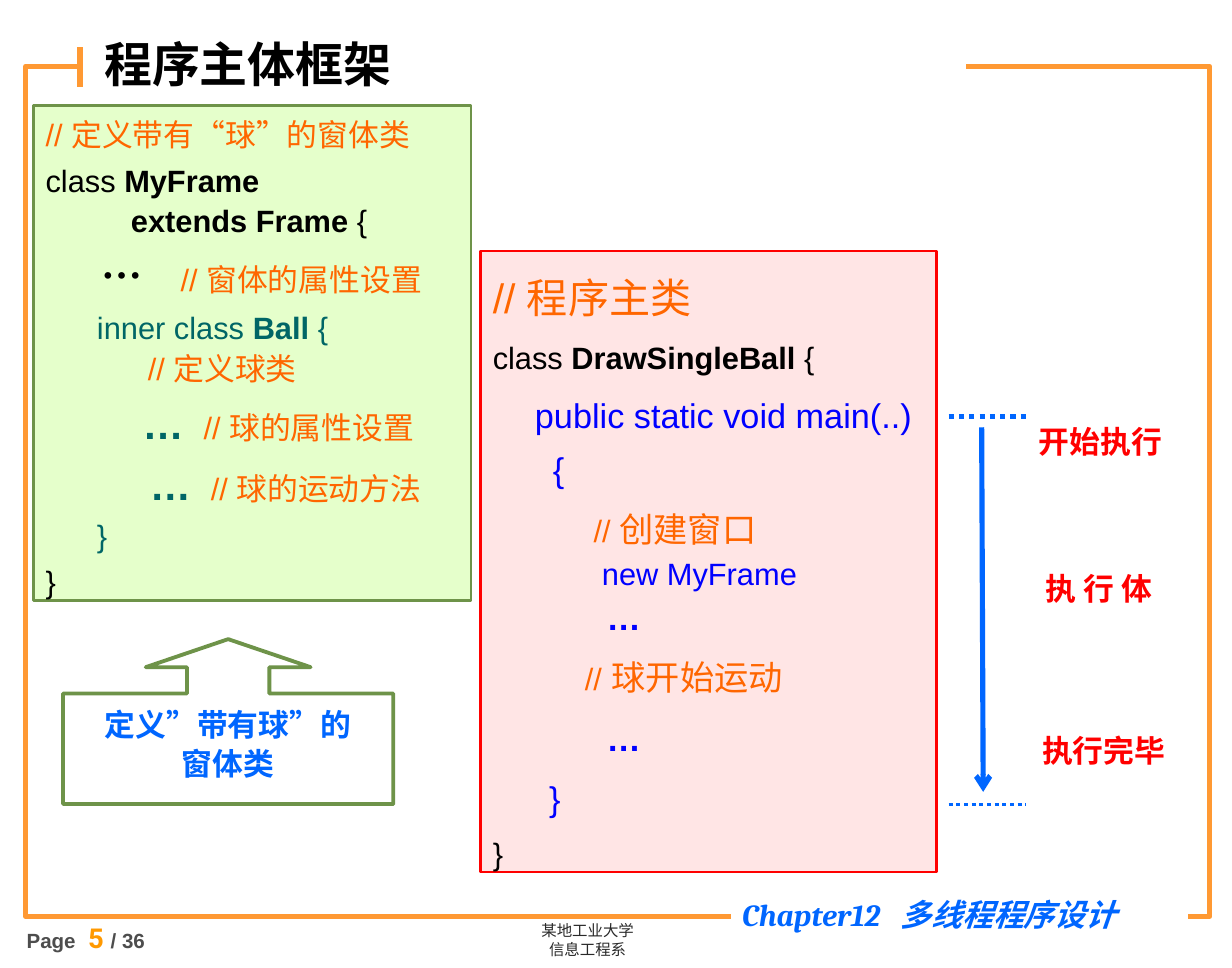
"""Build the slide on the main structure of the bouncing ball program."""
from lxml import etree
from pptx import Presentation
from pptx import util as u
from pptx.dml.color import RGBColor
from pptx.enum import dml, shapes, text
from pptx.oxml.ns import qn

COLORS = {
    "orange": "FF9933", "page": "FF9900", "comment": "FF6600", "blue": "0066FF",
    "code": "0000FF", "teal": "006666", "red": "FF0000", "green": "6E9349",
    "mint": "CCFF99", "pink": "FFCCCC", "white": "FFFFFF", "black": "000000",
    "gray": "4D4D4D", "dark": "292929",
}


def rgb(name):
    return RGBColor.from_string(COLORS[name])


def add_run(paragraph, words, size=18, color="black", bold=False, italic=False, font="Arial"):
    run = paragraph.add_run()
    run.text = words
    run.font.size = u.Pt(size)
    run.font.bold = bold
    run.font.italic = italic
    run.font.name = font
    run.font.color.rgb = rgb(color)


class SlideBuilder:
    def __init__(self, slide, font="Arial"):
        self.slide = slide
        self.font = font

    def shape(self, box, kind=shapes.MSO_SHAPE.RECTANGLE, fill=None, line="white", width=0.75, alpha=None):
        shape = self.slide.shapes.add_shape(kind, *map(u.Cm, box))
        shape.shadow.inherit = False
        if fill:
            shape.fill.solid()
            shape.fill.fore_color.rgb = rgb(fill)
        else:
            shape.fill.background()
        if alpha:
            color = shape._element.spPr.find(qn("a:solidFill"))[0]
            etree.SubElement(color, qn("a:alpha")).set("val", str(alpha * 1000))
        shape.line.color.rgb = rgb(line)
        shape.line.width = u.Pt(width)
        return shape

    def line(self, start, end, color="blue", width=3, dotted=False, arrow=False):
        line = self.slide.shapes.add_connector(
            shapes.MSO_CONNECTOR.STRAIGHT, *map(u.Cm, start + end))
        line.line.color.rgb = rgb(color)
        line.line.width = u.Pt(width)
        if dotted:
            line.line.dash_style = dml.MSO_LINE.ROUND_DOT
        if arrow:
            outline = line.line._get_or_add_ln()
            etree.SubElement(outline, qn("a:tailEnd")).set("type", "arrow")
        etree.SubElement(line._element.spPr, qn("a:effectLst"))

    def text(self, box, lines, center=False, wrap=True, middle=False, spacing=None, before=0, **style):
        frame = self.slide.shapes.add_textbox(*map(u.Cm, box)).text_frame
        frame.word_wrap = wrap
        if middle:
            frame.vertical_anchor = text.MSO_ANCHOR.MIDDLE
        style = {"font": self.font, **style}
        for index, runs in enumerate(lines):
            paragraph = frame.add_paragraph() if index else frame.paragraphs[0]
            paragraph.alignment = text.PP_ALIGN.CENTER if center else text.PP_ALIGN.LEFT
            paragraph.line_spacing = spacing
            paragraph.space_before = u.Pt(before if index else 0)
            for words, changes in runs:
                add_run(paragraph, words, **{**style, **changes})

    def code(self, box, lines, fill, line):
        """Draw a tinted box of code; each line is (indent, spacing, before, runs)."""
        shape = self.shape(box, fill=fill, line=line, width=1.5, alpha=50)
        frame = shape.text_frame
        frame.word_wrap = True
        frame.vertical_anchor = text.MSO_ANCHOR.TOP
        for index, (indent, spacing, before, runs) in enumerate(lines):
            paragraph = frame.add_paragraph() if index else frame.paragraphs[0]
            paragraph.alignment = text.PP_ALIGN.LEFT
            paragraph.line_spacing = spacing
            paragraph.space_before = u.Pt(before)
            paragraph._p.get_or_add_pPr().set("marL", str(u.Cm(indent)))
            for words, color, size, bold in runs:
                add_run(paragraph, words, size, color, bold, font=self.font)


FRAME_CODE = [
    (0, 1.1, 3, [("// 定义带有“球”的窗体类", "comment", 18, False)]),
    (0, 1.1, 3, [("class ", "black", 18, False), ("MyFrame", "black", 18, True)]),
    (1.76, 1.1, 0, [("extends Frame", "black", 18, True), (" {", "black", 18, False)]),
    (1.16, 1.1, 4, [("…", "black", 24, True), ("　 // 窗体的属性设置", "comment", 18, False)]),
    (1.06, 1.1, 3, [("inner class ", "teal", 18, False), ("Ball", "teal", 18, True),
                    (" {", "teal", 18, False)]),
    (2.11, 1.1, 0, [("// 定义球类", "comment", 18, False)]),
    (2, 1.1, 4, [("… ", "teal", 24, True), (" // 球的属性设置", "comment", 18, False)]),
    (2.15, 1.1, 4, [("… ", "teal", 24, True), (" // 球的运动方法", "comment", 18, False)]),
    (1.06, 1.1, 3, [("}", "teal", 18, False)]),
    (0, 1.1, 3, [("}", "black", 18, False)]),
]

MAIN_CODE = [
    (0, 1.3, 4.5, [("// 程序主类", "comment", 24, False)]),
    (0, 1.3, 3.5, [("class ", "black", 18, False), ("DrawSingleBall", "black", 18, True),
                   (" {", "black", 18, False)]),
    (0.87, 1.3, 4, [("public static void main(..)", "code", 20, False)]),
    (1.24, 1.3, 0, [("{", "code", 20, False)]),
    (2.08, 1.3, 4, [("// ", "comment", 18, False), ("创建窗口", "comment", 20, False)]),
    (2.25, 1, 3, [("new MyFrame", "code", 18, False)]),
    (2.35, 1, 3, [("…", "code", 20, True)]),
    (1.9, 1.3, 4, [("//", "comment", 18, False), (" 球开始运动", "comment", 20, False)]),
    (2.35, 1.3, 4, [("…", "code", 20, True)]),
    (1.16, 1.3, 4, [("}", "code", 20, False)]),
    (0, 1.3, 3.5, [("}", "black", 18, False)]),
]


def main():
    presentation = Presentation()
    presentation.slide_width = u.Cm(25.4)
    presentation.slide_height = u.Cm(19.96)
    builder = SlideBuilder(presentation.slides.add_slide(presentation.slide_layouts[6]))

    builder.text((8.51, 18.87, 7.21, 1.02), [[("某地工业大学", {})], [("信息工程系", {})]],
                 center=True, size=9, color="dark", font="Noto Sans CJK SC")
    number = {"size": 16, "color": "page", "font": "Roboto"}
    builder.text((0.3, 18.87, 3.61, 0.94),
                 [[("Page ", {}), (" ", {**number, "bold": False}), ("5 ", number), ("/ 36", {})]],
                 size=12, color="gray", bold=True)

    builder.shape((0.53, 1.37, 24.41, 17.53), line="orange", width=3)
    builder.shape((1.7, 1.04, 18.21, 0.64), fill="white")
    builder.line((1.65, 0.97), (1.65, 1.8), color="orange")
    builder.shape((15.09, 17.98, 9.4, 1.6), fill="white")
    builder.text((15.05, 18.34, 8.85, 0.94),
                 [[("Chapter12", {}), ("　", {"size": 12}), ("多线程程序设计", {})]],
                 color="blue", bold=True, italic=True, font="Cambria")
    builder.text((1.9, 0.51, 17.2, 1.6), [[("程序主体框架", {})]], middle=True, size=28, bold=True)

    builder.code((9.91, 5.18, 9.4, 12.8), MAIN_CODE, "pink", "red")
    builder.code((0.69, 2.18, 9.02, 10.21), FRAME_CODE, "mint", "green")

    builder.line((20.24, 8.81), (20.27, 16.33), arrow=True)
    for label, left, top in (("开始执行", 21.16, 8.59), ("执 行 体", 21.13, 11.63), ("执行完毕", 21.23, 14.96)):
        builder.text((left, top, 3.05, 1.02), [[(label, {})]], center=True, wrap=False,
                     color="red", bold=True, font="Cabin")
    for top, width in ((8.59, 3), (16.59, 2.25)):
        builder.line((19.56, top), (21.16, top), width=width, dotted=True)

    callout = builder.shape((1.3, 13.18, 6.81, 3.4), shapes.MSO_SHAPE.UP_ARROW_CALLOUT,
                            line="green", width=2.25)
    for index, value in enumerate((0.5, 0.5, 0.17, 0.67)):
        callout.adjustments[index] = value
    builder.text((1.5, 14.58, 6.4, 1.85), [[("定义”带有球”的", {})], [("窗体类", {})]],
                 center=True, spacing=0.8, before=5.5, color="blue", bold=True)

    presentation.save("out.pptx")


if __name__ == "__main__":
    main()
